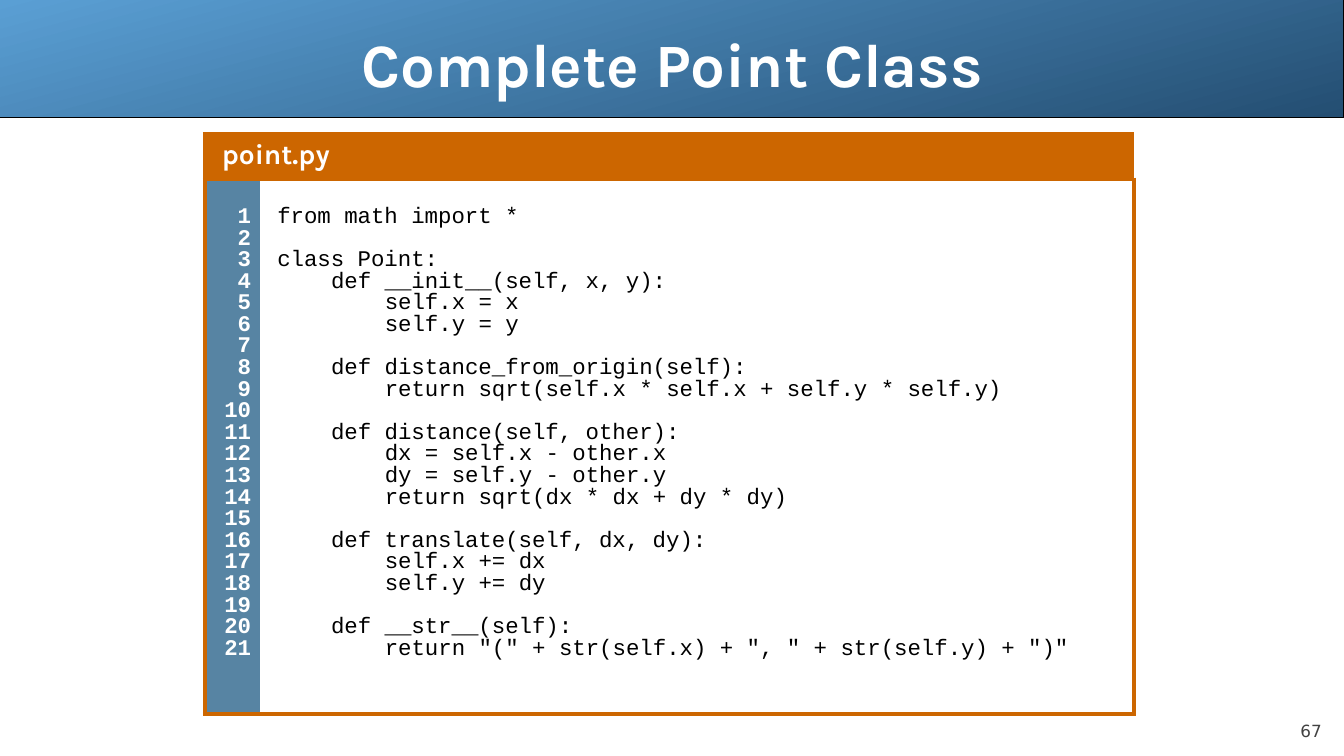
from lxml.etree import SubElement
from pptx import Presentation
from pptx.dml.color import RGBColor
from pptx.enum.shapes import MSO_SHAPE
from pptx.enum.text import MSO_ANCHOR, PP_ALIGN
from pptx.oxml.ns import qn
from pptx.util import Inches, Pt

COLORS = {
    "banner_light": "5A9FD4",
    "banner_dark": "244E72",
    "orange": "CC6600",
    "gutter": "5784A3",
    "white": "FFFFFF",
    "black": "000000",
    "page_number": "424242",
}
CODE = """from math import *

class Point:
    def __init__(self, x, y):
        self.x = x
        self.y = y

    def distance_from_origin(self):
        return sqrt(self.x * self.x + self.y * self.y)

    def distance(self, other):
        dx = self.x - other.x
        dy = self.y - other.y
        return sqrt(dx * dx + dy * dy)

    def translate(self, dx, dy):
        self.x += dx
        self.y += dy

    def __str__(self):
        return "(" + str(self.x) + ", " + str(self.y) + ")\""""
CODE_SIZE = 16
CHARACTER_WIDTH = CODE_SIZE * 0.6 / 72
LINE_PITCH = 15.42
TEXT_INDENT = 0.12


def format_paragraph(paragraph, text, font_name, size, color, bold):
    paragraph.text = text
    paragraph.font.name = font_name
    paragraph.font.size = Pt(size)
    paragraph.font.bold = bold
    paragraph.font.color.rgb = RGBColor.from_string(COLORS[color])


def format_cell(cell, color, insets, borders):
    cell.margin_left, cell.margin_top, cell.margin_right, cell.margin_bottom = map(Inches, insets)
    cell.fill.solid()
    cell.fill.fore_color.rgb = RGBColor.from_string(COLORS[color])
    properties = cell._tc.get_or_add_tcPr()
    for position, side in enumerate(borders):
        border = SubElement(properties, qn(f"a:ln{side}"), w=str(Pt(3)))
        border_fill = SubElement(border, qn("a:solidFill"))
        SubElement(border_fill, qn("a:srgbClr"), val=COLORS["orange"])
        properties.insert(position, border)


presentation = Presentation()
presentation.slide_width = Inches(13.33)
presentation.slide_height = Inches(7.5)
slide = presentation.slides.add_slide(presentation.slide_layouts[5])

banner = slide.shapes.add_shape(
    MSO_SHAPE.ROUNDED_RECTANGLE, 0, 0, presentation.slide_width, Inches(1.17)
)
banner.adjustments[0] = 0
banner.shadow.inherit = False
banner.fill.gradient()
banner.fill.gradient_angle = 285
for stop, color in zip(banner.fill.gradient_stops, ["banner_light", "banner_dark"]):
    stop.color.rgb = RGBColor.from_string(COLORS[color])
banner.line.color.rgb = RGBColor.from_string(COLORS["black"])
banner.line.width = Pt(0.75)
slide.shapes._spTree.insert(2, banner._element)

title = slide.shapes.title
title.left, title.top, title.width, title.height = map(Inches, (2.17, 0, 9, 1.25))
title.text_frame.vertical_anchor = MSO_ANCHOR.MIDDLE
title_paragraph = title.text_frame.paragraphs[0]
title_paragraph.alignment = PP_ALIGN.CENTER
format_paragraph(title_paragraph, "Complete Point Class", "Karla", 44, "white", True)

page_number = slide.shapes.add_textbox(Inches(12), Inches(6.95), Inches(1.11), Inches(0.4))
page_frame = page_number.text_frame
page_frame.word_wrap = True
page_frame.vertical_anchor = MSO_ANCHOR.BOTTOM
page_frame.margin_left = page_frame.margin_top = 0
page_frame.margin_right = page_frame.margin_bottom = 0
page_paragraph = page_frame.paragraphs[0]
page_paragraph.alignment = PP_ALIGN.RIGHT
format_paragraph(page_paragraph, "67", "DejaVu Sans", 12, "page_number", False)

table = slide.shapes.add_table(
    2, 2, Inches(2.03), Inches(1.33), Inches(9.22), Inches(5.75)
).table
table.first_row = False
table.horz_banding = False
table._tbl.tblPr.find(qn("a:tableStyleId")).text = "{2D5ABB26-0587-4C30-8999-92F81FD0307C}"
table.columns[0].width, table.columns[1].width = Inches(0.55), Inches(8.67)
table.rows[0].height, table.rows[1].height = Inches(0.45), Inches(5.3)

file_cell, number_cell, code_cell = table.cell(0, 0), table.cell(1, 0), table.cell(1, 1)
file_cell.merge(table.cell(0, 1))
format_cell(file_cell, "orange", (0.05, 0.05, 0.05, 0.05), "LTB")
format_cell(number_cell, "gutter", (0.05, 0.31, 0.09, 0.23), "LB")
format_cell(code_cell, "white", (0.05, 0.31, 0.18, 0.23), "RB")

file_paragraph = file_cell.text_frame.paragraphs[0]
file_paragraph.line_spacing = 0.98
file_paragraph.space_before = Pt(5)
file_paragraph._p.get_or_add_pPr().set("marL", str(Inches(TEXT_INDENT)))
format_paragraph(file_paragraph, "point.py", "Karla", 20, "white", True)

number_frame, code_frame = number_cell.text_frame, code_cell.text_frame
skipped_lines = 0
for number, line in enumerate(CODE.splitlines(), start=1):
    first = number == 1
    number_paragraph = number_frame.paragraphs[0] if first else number_frame.add_paragraph()
    number_paragraph.alignment = PP_ALIGN.RIGHT
    number_paragraph.line_spacing = 0.63
    number_paragraph.space_before = Pt(4)
    format_paragraph(number_paragraph, str(number), "Courier New", CODE_SIZE, "white", True)

    statement = line.lstrip()
    if not statement:
        skipped_lines += 1
        continue
    code_paragraph = code_frame.paragraphs[0] if first else code_frame.add_paragraph()
    code_paragraph.line_spacing = 0.63
    code_paragraph.space_before = Pt(4 + skipped_lines * LINE_PITCH)
    indent = TEXT_INDENT + (len(line) - len(statement)) * CHARACTER_WIDTH
    code_paragraph._p.get_or_add_pPr().set("marL", str(Inches(indent)))
    format_paragraph(code_paragraph, statement, "Courier New", CODE_SIZE, "black", False)
    skipped_lines = 0

presentation.save("out.pptx")
